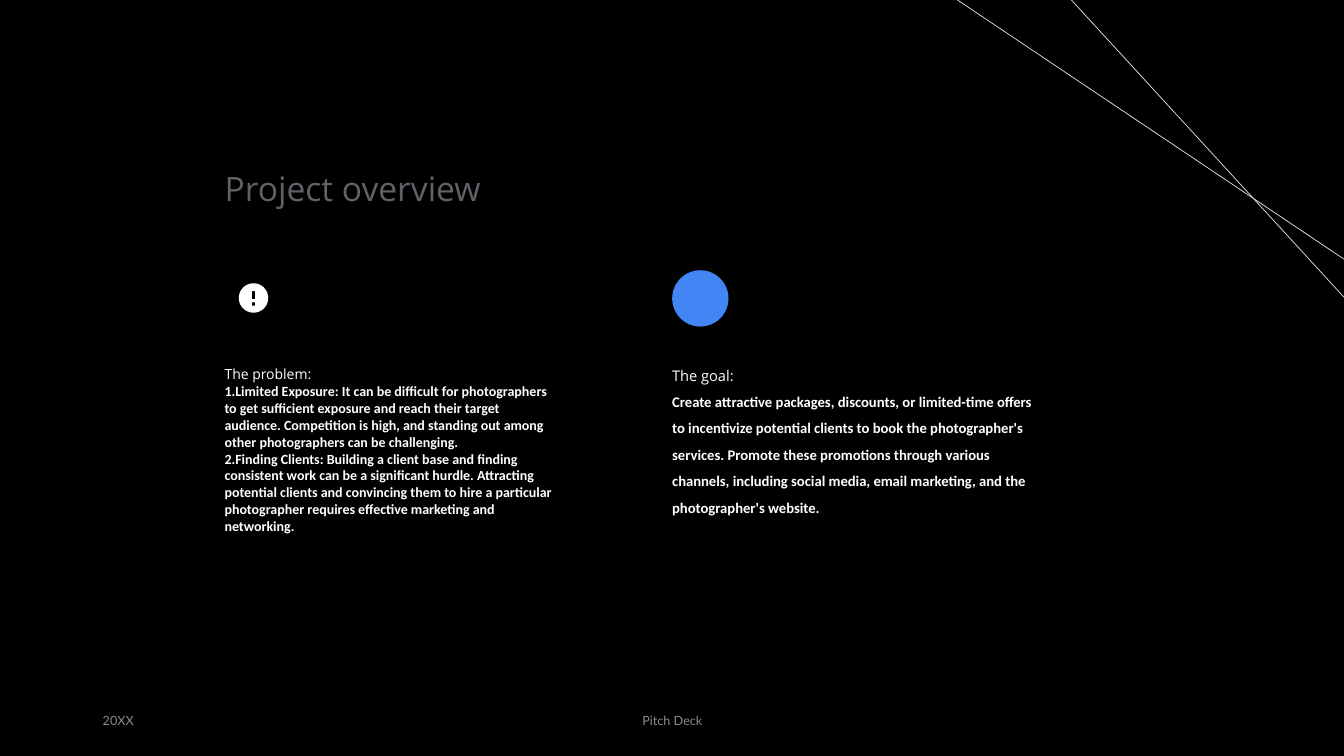
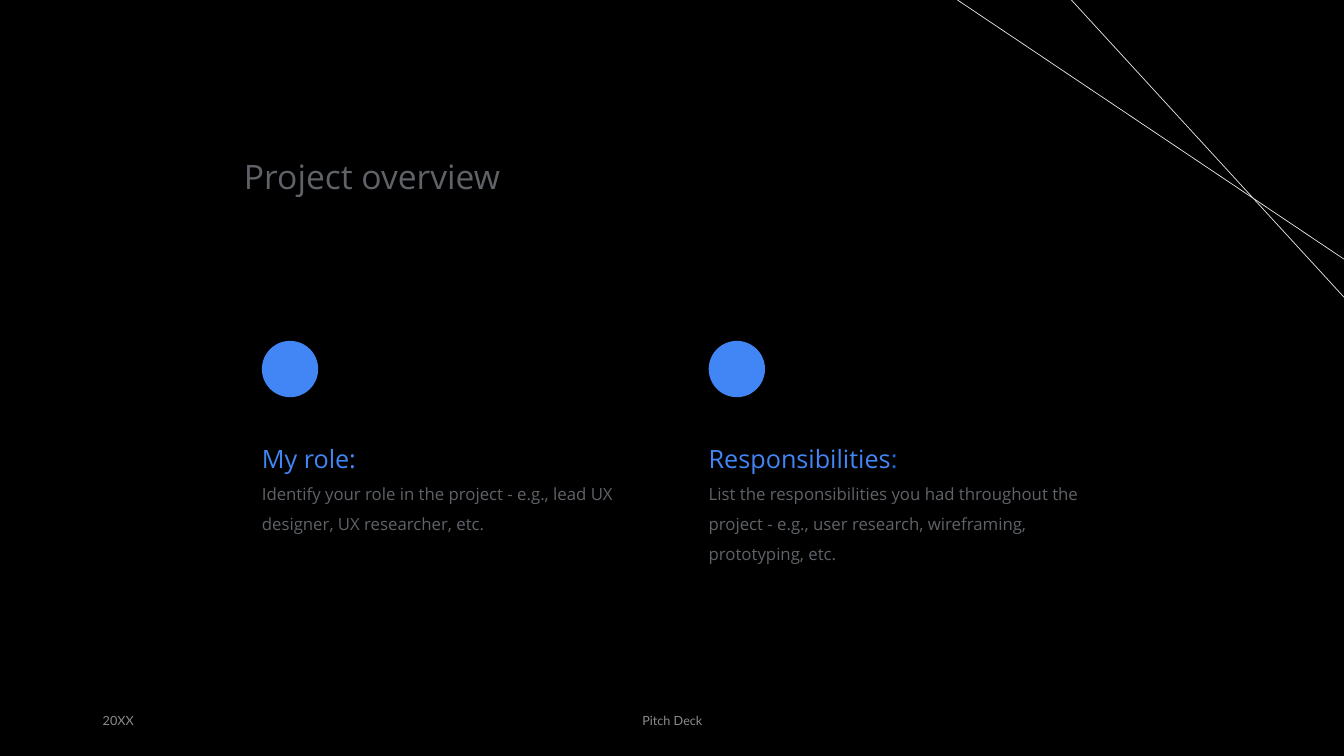
"""Build two black project overview slides of a pitch deck."""
import math

import pptx
import pptx.dml.color
import pptx.enum.shapes
import pptx.enum.text
import pptx.oxml
import pptx.util
from lxml import etree

Cm = pptx.util.Cm
RGBColor = pptx.dml.color.RGBColor
MSO_ANCHOR = pptx.enum.text.MSO_ANCHOR
PP_ALIGN = pptx.enum.text.PP_ALIGN

BLACK = RGBColor(0x00, 0x00, 0x00)
WHITE = RGBColor(0xFF, 0xFF, 0xFF)
BLUE = RGBColor(0x42, 0x85, 0xF4)
DARK_BLUE = RGBColor(0x19, 0x67, 0xD2)
GREY = RGBColor(0x5F, 0x63, 0x68)
FOOTER_GREY = RGBColor(0x8C, 0x8C, 0x8C)
LINE = RGBColor(0xE9, 0xE6, 0xDF)

SLIDE_W, SLIDE_H = 33.87, 19.05
DISC = 1.42
A = "{http://schemas.openxmlformats.org/drawingml/2006/main}"


def add_box(s, left, top, width, height, footer=False):
    """Add a wrapping text box and return its text frame."""
    tf = s.shapes.add_textbox(Cm(left), Cm(top), Cm(width), Cm(height)).text_frame
    tf.word_wrap = True
    if footer:
        tf.vertical_anchor = MSO_ANCHOR.MIDDLE
    else:
        tf.auto_size = pptx.enum.text.MSO_AUTO_SIZE.SHAPE_TO_FIT_TEXT
        tf.margin_left = 0
        tf.margin_top = tf.margin_right = tf.margin_bottom = Cm(0.25)
    return tf


def write(tf, text, size=12, color=WHITE, font="Open Sans", bold=False,
          spacing=None, align=PP_ALIGN.LEFT, numbered=False, same_line=False):
    """Write text as a new paragraph, or as a further run of the last one."""
    p = tf.paragraphs[-1]
    if p.runs and not same_line:
        p = tf.add_paragraph()
    if not same_line:
        if numbered:
            pPr = p._p.get_or_add_pPr()
            pPr.set("marL", "0")
            pPr.set("indent", "0")
            etree.SubElement(pPr, A + "buAutoNum", type="arabicPeriod")
        p.alignment = align
        if spacing:
            p.line_spacing = spacing
    r = p.add_run()
    r.text = text
    r.font.size = pptx.util.Pt(size)
    r.font.name = font
    r.font.bold = bold
    r.font.color.rgb = color


prs = pptx.Presentation()
prs.slide_width, prs.slide_height = Cm(SLIDE_W), Cm(SLIDE_H)
fill = prs.slide_master.background.fill
fill.solid()
fill.fore_color.rgb = BLACK

slides = []
for title_left, title_top, discs in [
    (5.66, 3.99, [(16.94, 6.81)]),
    (6.15, 3.68, [(6.6, 8.59), (17.86, 8.59)]),
]:
    s = prs.slides.add_slide(prs.slide_layouts[6])
    slides.append(s)
    for start_x, end_y in [(24.13, 6.53), (27, 7.49)]:
        line = s.shapes.add_connector(
            pptx.enum.shapes.MSO_CONNECTOR.STRAIGHT,
            Cm(start_x), Cm(0), Cm(SLIDE_W), Cm(end_y))
        line.line.color.rgb = LINE
        line.line.width = pptx.util.Pt(0.5)
        etree.SubElement(line._element.spPr, A + "effectLst")
    for text, left, width, align in [
        ("20XX", 2.34, 7.62, PP_ALIGN.LEFT),
        ("Pitch Deck", 11.23, 11.43, PP_ALIGN.CENTER),
    ]:
        tf = add_box(s, left, 17.65, width, 1.02, footer=True)
        write(tf, text, size=9, color=FOOTER_GREY, font="Lato", align=align)
    tf = add_box(s, title_left, title_top, 17.09, 1.55)
    write(tf, "Project overview", size=24, color=GREY)
    for left, top in discs:
        sp = s.shapes.add_shape(pptx.enum.shapes.MSO_SHAPE.OVAL,
                                Cm(left), Cm(top), Cm(DISC), Cm(DISC))
        sp.shadow.inherit = False
        sp.fill.solid()
        sp.fill.fore_color.rgb = BLUE
        sp.line.fill.background()

overview, roles = slides

center_x, center_y, radius = 6.39, 7.51, 0.37
rim = [(center_x + radius * math.cos(math.radians(a)),
        center_y + radius * math.sin(math.radians(a))) for a in range(0, 360, 4)]
bar, dot = [
    [(6.35, top), (6.43, top), (6.43, bottom), (6.35, bottom)]
    for top, bottom in [(7.34, 7.54), (7.62, 7.7)]
]
builder = overview.shapes.build_freeform(Cm(rim[0][0]), Cm(rim[0][1]))
builder.add_line_segments([(Cm(x), Cm(y)) for x, y in rim[1:]])
for hole in (bar, dot):
    points = [(Cm(x), Cm(y)) for x, y in hole]
    builder.move_to(*points[0])
    builder.add_line_segments(points[1:])
badge = builder.convert_to_shape()
badge.shadow.inherit = False
badge.fill.solid()
badge.fill.fore_color.rgb = WHITE
badge.line.fill.background()

tf = add_box(overview, 5.66, 8.76, 8.53, 5.64)
write(tf, "The problem:", size=10, spacing=1.5)
for text in [
    "Limited Exposure: It can be difficult for photographers to get sufficient "
    "exposure and reach their target audience. Competition is high, and standing "
    "out among other photographers can be challenging.",
    "Finding Clients: Building a client base and finding consistent work can be a "
    "significant hurdle. Attracting potential clients and convincing them to hire a "
    "particular photographer requires effective marketing and networking.",
]:
    write(tf, text, size=10, font="Calibri", bold=True, numbered=True)

tf = add_box(overview, 16.94, 8.76, 9.63, 4.55)
write(tf, "The goal:", size=10.5, spacing=1.5)
write(tf, "Create attractive packages, discounts, or limited-time offers to incentivize "
      "potential clients to book the photographer's services. Promote these promotions "
      "through various channels, including social media, email marketing, and the "
      "photographer's website.", size=10.5, font="Calibri", bold=True, spacing=1.5)

for left, height, heading, colon_color, text in [
    (6.6, 2.69, "My role", BLUE,
     "Identify your role in the project - e.g., lead UX designer, UX researcher, etc."),
    (17.86, 3.45, "Responsibilities", DARK_BLUE,
     "List the responsibilities you had throughout the project - e.g., user research, "
     "wireframing, prototyping, etc."),
]:
    tf = add_box(roles, left, 10.54, 9.58, height)
    write(tf, heading, size=18, color=BLUE, spacing=1.5)
    write(tf, ":", size=18, color=colon_color, same_line=True)
    write(tf, text, color=GREY, spacing=1.5)

prs.save("out.pptx")
